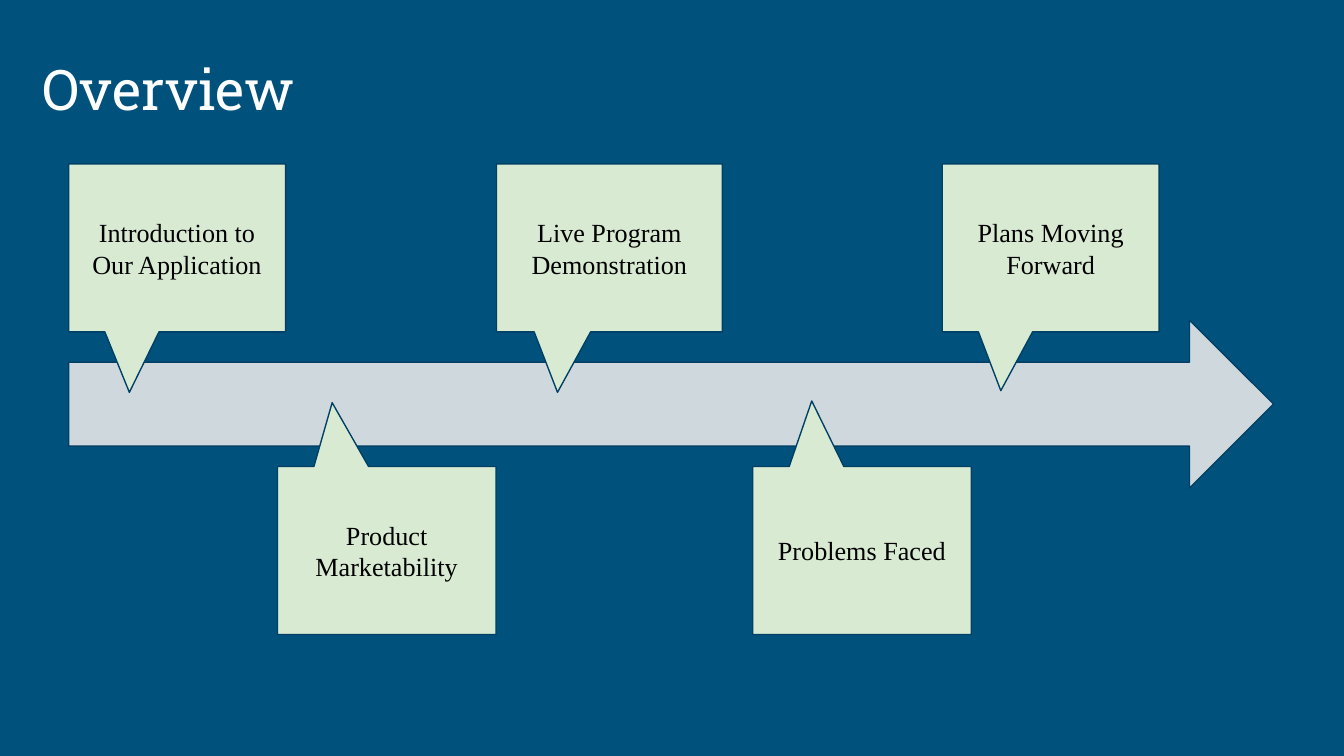
import pptx
import pptx.dml.color
import pptx.enum.shapes
import pptx.enum.text
import pptx.util

Pt = pptx.util.Pt
RGB = pptx.dml.color.RGBColor.from_string
SHAPE = pptx.enum.shapes.MSO_SHAPE
ALIGN = pptx.enum.text.PP_ALIGN
ANCHOR = pptx.enum.text.MSO_ANCHOR

theme = {
    "background": RGB("00517C"),
    "title": RGB("FFFFFF"),
    "arrow": RGB("CFD8DC"),
    "callout": RGB("D9EAD3"),
    "outline": RGB("004065"),
    "text": RGB("000000"),
    "title_font": "Roboto Slab",
    "text_font": "Times New Roman",
    "title_size": Pt(30),
    "text_size": Pt(14),
    "line_width": Pt(0.75),
}


def add_box(kind, left, top, width, height, fill):
    sp = s.shapes.add_shape(kind, Pt(left), Pt(top), Pt(width), Pt(height))
    sp.shadow.inherit = False
    sp.fill.solid()
    sp.fill.fore_color.rgb = fill
    sp.line.color.rgb = theme["outline"]
    sp.line.width = theme["line_width"]
    return sp


def set_text(sp, text, anchor, align, font, size, color):
    tf = sp.text_frame
    tf.text = text
    tf.word_wrap = True
    tf.auto_size = pptx.enum.text.MSO_AUTO_SIZE.NONE
    tf.vertical_anchor = anchor
    tf.margin_left = tf.margin_right = tf.margin_top = tf.margin_bottom = Pt(7.2)
    p = tf.paragraphs[0]
    p.alignment = align
    r = p.runs[0]
    r.font.name = font
    r.font.size = size
    r.font.color.rgb = color


prs = pptx.Presentation()
prs.slide_width, prs.slide_height = Pt(720), Pt(405)
s = prs.slides.add_slide(prs.slide_layouts[5])
s.background.fill.solid()
s.background.fill.fore_color.rgb = theme["background"]

# Title
title = s.shapes.title
title.left, title.top, title.width, title.height = Pt(15.8), Pt(12.2), Pt(659), Pt(60.5)
set_text(title, "Overview", ANCHOR.BOTTOM, ALIGN.LEFT,
         theme["title_font"], theme["title_size"], theme["title"])

# Timeline arrow
add_box(SHAPE.RIGHT_ARROW, 36.8, 171.5, 645.5, 90, theme["arrow"])

# Callouts above and below the arrow: text, left, top, width, pointer tip x and y
upper, lower = 87.8, 249.9
callouts = [
    ("Introduction to Our Application", 36.8, upper, 116.2, -0.22, 0.86),
    ("Product Marketability", 148.7, lower, 117, -0.25, -0.88),
    ("Live Program Demonstration", 266, upper, 121, -0.23, 0.86),
    ("Problems Faced", 403.3, lower, 117, -0.23, -0.89),
    ("Plans Moving Forward", 504.8, upper, 116.2, -0.23, 0.85),
]
for text, left, top, width, tip_x, tip_y in callouts:
    sp = add_box(SHAPE.ROUNDED_RECTANGULAR_CALLOUT, left, top, width, 90, theme["callout"])
    for i, value in enumerate((tip_x, tip_y, 0)):
        sp.adjustments[i] = value
    set_text(sp, text, ANCHOR.MIDDLE, ALIGN.CENTER,
             theme["text_font"], theme["text_size"], theme["text"])

prs.save("out.pptx")
